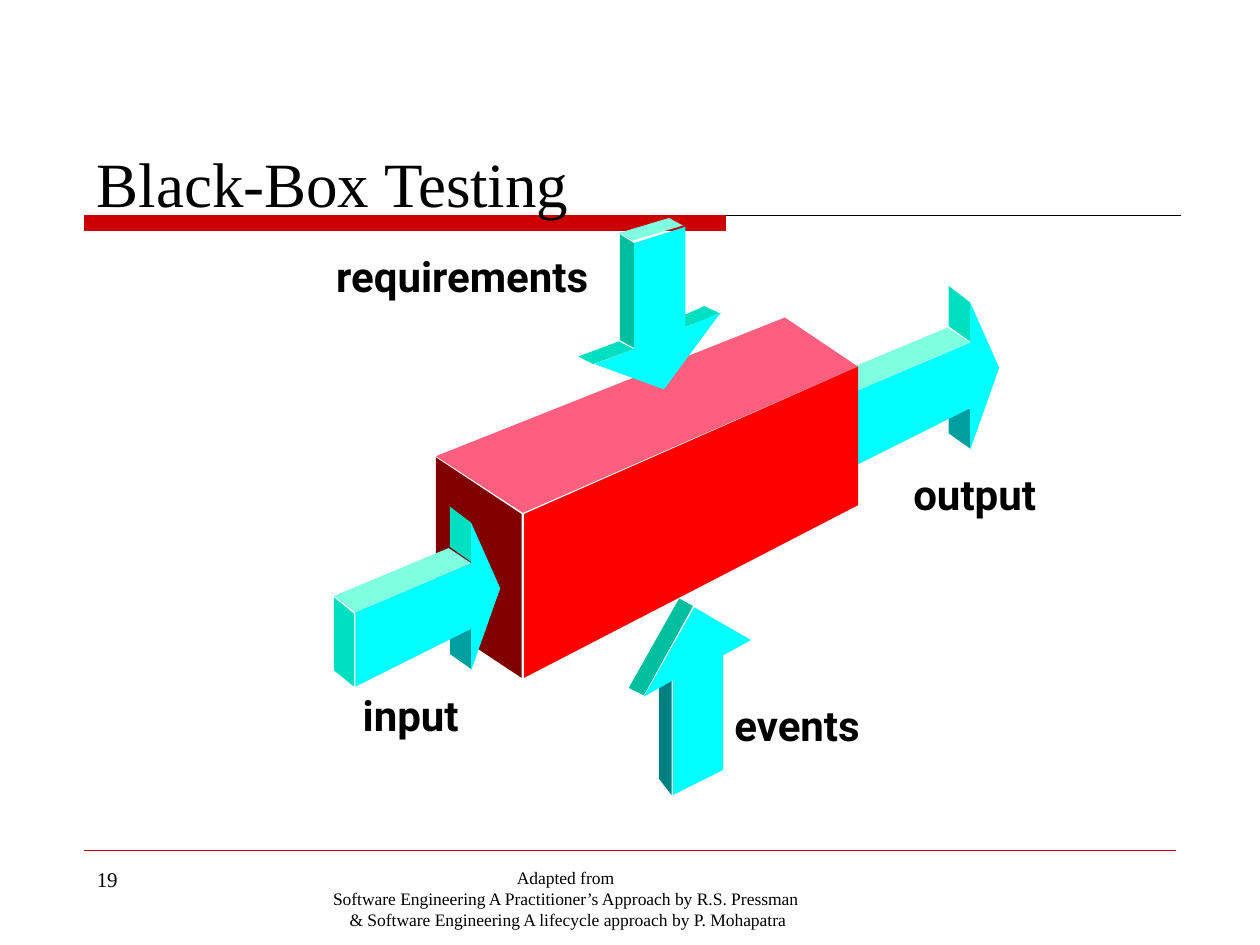
from pptx import Presentation
from pptx import util as u
from pptx.dml.color import RGBColor
from pptx.enum import shapes, text
from pptx.oxml.ns import qn
from lxml import etree

COLORS = {
    "ink": "000000", "rule": "CC0000",
    "cyan": "00FFFF", "pale": "7FFFDF", "mint": "00DFBF",
    "jade": "00BF9F", "teal": "009F9F", "deep": "008080",
    "front": "FF0000", "top": "FF5F7F", "side": "800000",
}

SIDE_ARROW = [
    ("teal", [(7.7, 3.56), (7.7, 3.25), (7.53, 3.12), (7.53, 3.44)]),
    ("cyan", [(7.7, 2.72), (6.78, 3.11), (6.78, 3.7), (7.7, 3.24),
              (7.7, 3.57), (7.93, 2.92), (7.7, 2.4)]),
    ("mint", [(6.77, 3.12), (6.77, 3.7), (6.61, 3.57), (6.61, 2.99)]),
    ("pale", [(6.61, 2.98), (6.78, 3.11), (7.7, 2.72), (7.52, 2.6)]),
    ("mint", [(7.7, 2.4), (7.53, 2.27), (7.53, 2.59), (7.7, 2.71)]),
]
UP_ARROW = [
    ("deep", [(5.33, 6.31), (5.33, 5.4), (5.23, 5.34), (5.23, 6.18)]),
    ("cyan", [(5.51, 4.82), (5.96, 5.08), (5.74, 5.2), (5.74, 6.11),
              (5.34, 6.31), (5.34, 5.4), (5.11, 5.53)]),
    ("jade", [(5.11, 5.52), (4.99, 5.46), (5.39, 4.75), (5.5, 4.81)]),
]
BOX = [
    ("side", [(3.46, 3.63), (4.14, 4.08), (4.14, 5.38), (3.46, 4.93)]),
    ("top", [(3.46, 3.62), (4.15, 4.07), (6.81, 2.91), (6.23, 2.52)]),
    ("front", [(4.16, 4.08), (4.16, 5.38), (6.81, 4.01), (6.81, 2.91)]),
]
DOWN_ARROW = [
    ("pale", [(4.91, 1.85), (5.02, 1.91), (5.42, 1.79), (5.31, 1.73)]),
    ("mint", [(5.43, 2.6), (5.72, 2.49), (5.59, 2.43), (5.32, 2.55)]),
    ("cyan", [(5.03, 1.93), (5.44, 1.8), (5.44, 2.6), (5.72, 2.48),
              (5.27, 3.09), (4.72, 2.89), (5.03, 2.77)]),
    ("mint", [(4.71, 2.89), (4.59, 2.83), (4.91, 2.71), (5.03, 2.77)]),
    ("jade", [(4.92, 2.7), (5.03, 2.76), (5.03, 1.93), (4.92, 1.86)]),
]
LABELS = [
    ("requirements", 2.57, 1.94, 2.31),
    ("events", 5.73, 5.5, 1.26),
    ("input", 2.78, 5.42, 1.01),
    ("output", 7.15, 3.67, 1.23),
]


def color(name):
    return RGBColor.from_string(COLORS[name])


def add_text(slide, words, left, top, width, height, size=12,
             font="Times New Roman", bold=False, wrap=True,
             align=text.PP_ALIGN.LEFT, anchor=text.MSO_ANCHOR.TOP):
    box = slide.shapes.add_textbox(*map(u.Inches, (left, top, width, height)))
    frame = box.text_frame
    frame.word_wrap = wrap
    frame.vertical_anchor = anchor
    if not wrap:
        frame.auto_size = text.MSO_AUTO_SIZE.SHAPE_TO_FIT_TEXT
    frame.text = words
    for para in frame.paragraphs:
        para.alignment = align
        for run in para.runs:
            run.font.name = font
            run.font.size = u.Pt(size)
            run.font.bold = bold
            run.font.color.rgb = color("ink")


def add_rule(slide, left, right, top, tint):
    line = slide.shapes.add_connector(
        shapes.MSO_CONNECTOR.STRAIGHT,
        *map(u.Inches, (left, top, right, top)))
    line.line.color.rgb = color(tint)
    line.line.width = u.Pt(0.75)
    etree.SubElement(line.element.spPr, qn("a:effectLst"))


def add_bar(slide, left, top, width, height):
    bar = slide.shapes.add_shape(
        shapes.MSO_SHAPE.RECTANGLE,
        *map(u.Inches, (left, top, width, height)))
    bar.shadow.inherit = False
    bar.fill.solid()
    bar.fill.fore_color.rgb = color("rule")
    bar.line.color.rgb = color("rule")
    bar.line.width = u.Pt(0.75)


def add_solid(slide, faces, right=0, down=0):
    for tint, points in faces:
        spots = [(u.Inches(x + right), u.Inches(y + down)) for x, y in points]
        pen = slide.shapes.build_freeform(*spots[0])
        pen.add_line_segments(spots[1:], close=True)
        face = pen.convert_to_shape()
        face.shadow.inherit = False
        face.fill.solid()
        face.fill.fore_color.rgb = color(tint)
        face.line.fill.background()


def main():
    deck = Presentation()
    deck.slide_width, deck.slide_height = u.Inches(10), u.Inches(7.5)
    slide = deck.slides.add_slide(deck.slide_layouts[6])

    add_rule(slide, 0.67, 9.37, 1.71, "ink")
    add_bar(slide, 0.67, 1.71, 5.09, 0.12)
    add_rule(slide, 0.67, 9.33, 6.75, "rule")
    add_text(slide, "19", 0.67, 6.83, 2.17, 0.52)
    add_text(slide, "Adapted from \n"
             "Software Engineering A Practitioner’s Approach by R.S. Pressman \n"
             "& Software Engineering A lifecycle approach by P. Mohapatra",
             2.42, 6.83, 4.17, 0.42, size=10, align=text.PP_ALIGN.CENTER)

    add_solid(slide, SIDE_ARROW)
    add_text(slide, "Black-Box Testing", 0.67, 1.17, 6.88, 0.55, size=36,
             anchor=text.MSO_ANCHOR.MIDDLE)
    add_solid(slide, UP_ARROW)
    add_solid(slide, BOX)
    add_solid(slide, DOWN_ARROW)
    add_solid(slide, SIDE_ARROW, right=-3.96, down=1.75)
    for words, left, top, width in LABELS:
        add_text(slide, words, left, top, width, 0.56, size=24,
                 font="Roboto", bold=True, wrap=False)

    deck.save("out.pptx")


if __name__ == "__main__":
    main()
